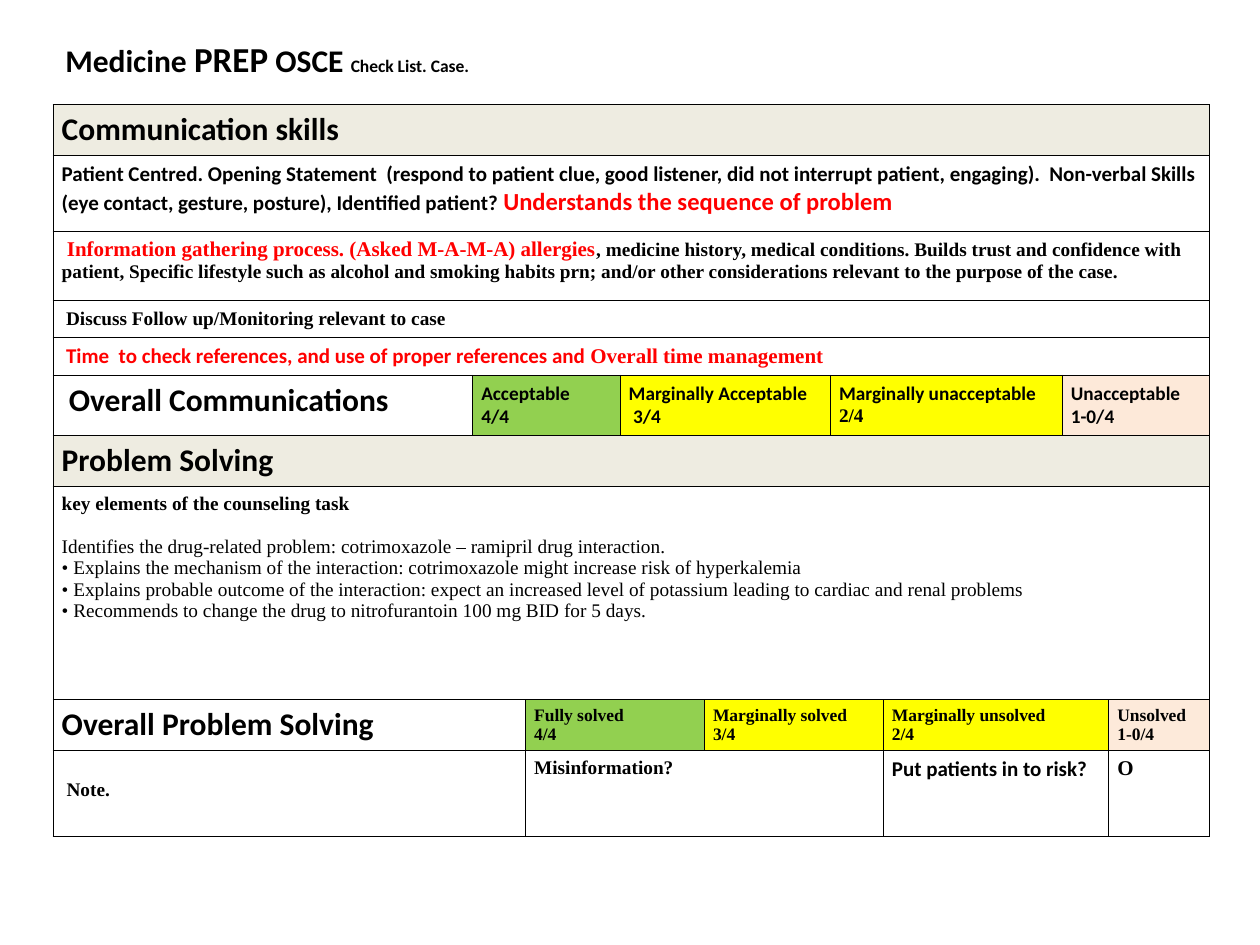
from lxml.etree import SubElement as Sub
from pptx import Presentation
from pptx.dml.color import RGBColor as RGB
from pptx.oxml.ns import qn
from pptx.util import Inches, Pt

HEX = {"black": "000000", "red": "FF0000", "band": "EEECE1", "white": "FFFFFF",
       "green": "92D050", "yellow": "FFFF00", "peach": "FDE9D9", "blush": "FDEADA"}
CAL, TNR = "Calibri", "Times New Roman"


def write(para, runs):
    """Add runs given as (text, size, font, colour, bold)."""
    for text, size, face, *rest in runs:
        run = para.add_run()
        run.text = text
        run.font.size = Pt(size)
        run.font.name = face
        run.font.color.rgb = RGB.from_string(HEX[rest[0] if rest else "black"])
        run.font.bold = rest[1] if len(rest) > 1 else True


def border(cell):
    """Draw a thin black line on all four sides."""
    props = cell._tc.get_or_add_tcPr()
    for side in ("lnL", "lnR", "lnT", "lnB"):
        line = Sub(props, qn("a:" + side), w=str(Pt(0.45)))
        fill = Sub(line, qn("a:solidFill"))
        Sub(fill, qn("a:srgbClr"), val=HEX["black"])


prs = Presentation()
prs.slide_width, prs.slide_height = Inches(10), Inches(7.5)
slide = prs.slides.add_slide(prs.slide_layouts[6])

# Each row lists its cells: (columns spanned, fill, paragraphs of runs)
tasks = ["Identifies the drug-related problem: cotrimoxazole – ramipril drug interaction.",
         "• Explains the mechanism of the interaction: cotrimoxazole might increase risk of hyperkalemia",
         "• Explains probable outcome of the interaction: expect an increased level of potassium "
         "leading to cardiac and renal problems",
         "• Recommends to change the drug to nitrofurantoin 100 mg BID for 5 days."]
rows = [
    [(9, "band", [[("Communication skills", 18, CAL)]])],
    [(9, None, [[
        ("Patient Centred. Opening Statement  (respond to patient clue, good listener, did not "
         "interrupt patient, engaging).  Non-verbal Skills (eye contact, gesture, posture), "
         "Identified patient? ", 12, CAL),
        ("Understands the sequence of problem", 14, CAL, "red")]])],
    [(9, None, [[
        (" Information gathering process. (Asked M-A-M-A) allergies", 12, TNR, "red"),
        (", medicine history, medical conditions. Builds trust and confidence with patient, "
         "Specific lifestyle such as alcohol and smoking habits prn; and/or other considerations "
         "relevant to the purpose of the case.", 11, TNR)]])],
    [(9, None, [[(" ", 11, CAL), ("Discuss Follow up/Monitoring relevant to case", 11, TNR)]])],
    [(9, None, [[
        (" ", 11, CAL, "black", False),
        ("Time  to check references, and use of proper references and ", 12, CAL, "red"),
        ("Overall time management", 12, TNR, "red")]])],
    [(1, "white", [[(" Overall Communications", 18, CAL)]]),
     (2, "green", [[("Acceptable", 11, CAL)], [("4/4", 11, CAL)]]),
     (2, "yellow", [[("Marginally Acceptable", 11, CAL)], [(" 3/4", 11, CAL)]]),
     (2, "yellow", [[("Marginally unacceptable", 11, CAL)], [("2/4", 11, TNR)]]),
     (2, "peach", [[("Unacceptable", 11, CAL)], [("1-0/4", 11, CAL)]])],
    [(9, "band", [[("Problem Solving", 18, CAL)]])],
    [(9, None, [[("key elements of the counseling task", 11, TNR)]]
      + [[(task, 11, TNR, "black", False)] for task in tasks])],
    [(2, None, [[("Overall Problem Solving", 18, CAL)]])]
    + [(span, fill, [[(name, 10, TNR)], [(mark, 10, TNR)]]) for span, fill, name, mark in (
        (2, "green", "Fully solved", "4/4"), (2, "yellow", "Marginally solved", "3/4"),
        (2, "yellow", "Marginally unsolved", "2/4"), (1, "blush", "Unsolved", "1-0/4"))],
    [(2, None, [[(" Note.", 11, TNR)]]),
     (4, None, [[("Misinformation?", 11, TNR)]]),
     (2, None, [[("Put patients in to risk?", 12, CAL)]]),
     (1, None, [[("O", 12, TNR)]])],
]

# Table grid
wide = [3.33, 0.42, 0.75, 0.67, 1, 0.42, 1.42, 0.37, 0.8]
high = [0.32, 0.6, 0.55, 0.26, 0.21, 0.37, 0.3, 1.69, 0.36, 0.68]
table = slide.shapes.add_table(len(high), len(wide), Inches(0.42), Inches(0.83),
                               Inches(9.17), Inches(5.34)).table
table.first_row = table.horz_banding = False
for col, size in zip(table.columns, wide):
    col.width = Inches(size)
for row, size in zip(table.rows, high):
    row.height = Inches(size)

# Cells
for cell in table.iter_cells():
    border(cell)
    cell.fill.background()
    cell.margin_left = cell.margin_right = Inches(0.07)
for r, cells in enumerate(rows):
    c = 0
    for span, fill, paras in cells:
        cell = table.cell(r, c)
        if span > 1:
            cell.merge(table.cell(r, c + span - 1))
        if fill:
            cell.fill.solid()
            cell.fill.fore_color.rgb = RGB.from_string(HEX[fill])
        frame = cell.text_frame
        for i, runs in enumerate(paras):
            write(frame.add_paragraph() if i else frame.paragraphs[0], runs)
        c += span

# Gaps above the task list and the note
table.cell(7, 0).text_frame.paragraphs[1].space_before = Pt(12.5)
table.cell(9, 0).margin_top = Inches(0.23)

# Title
title = slide.shapes.add_textbox(Inches(0.42), Inches(0.25), Inches(8), Inches(0.44)).text_frame
title.word_wrap = True
write(title.paragraphs[0], [("Medicine ", 18, CAL), ("PREP", 20, CAL),
                            (" OSCE ", 18, CAL), ("Check List. Case.", 10, CAL)])

prs.save("out.pptx")
